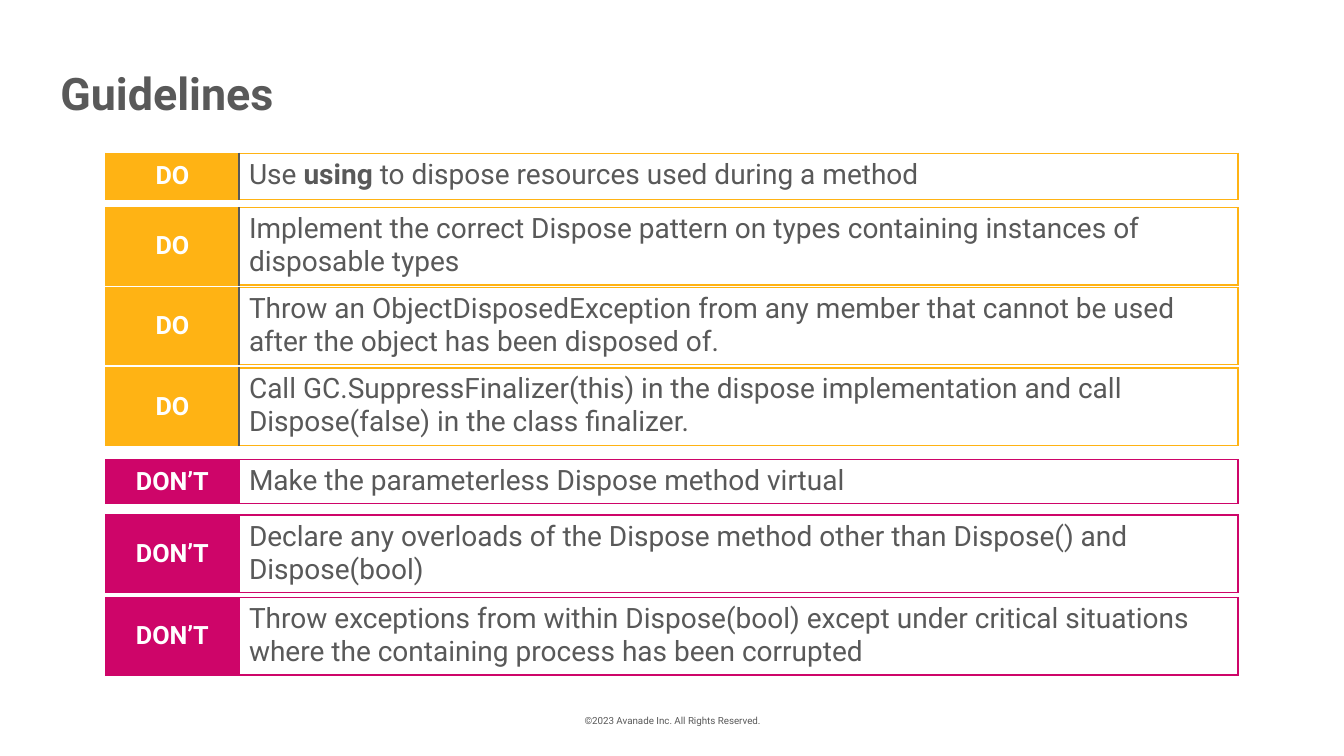
from lxml.etree import SubElement
from pptx import Presentation
from pptx.dml.color import RGBColor
from pptx.enum.text import MSO_ANCHOR, PP_ALIGN
from pptx.oxml.ns import qn
from pptx.util import Inches, Pt

HEX = {"gray": "595959", "white": "FFFFFF", "do": "FFB314", "dont": "CE0569"}
TITLE = {"size": Pt(32), "bold": True}
LABEL = {"size": Pt(18), "bold": True}
BODY = {"size": Pt(20), "bold": False}
FOOT = {"size": Pt(7), "bold": False}
LEFT, WIDTH, TAG = 1.05, 11.23, 1.32

# kind, top, height, text; bars enclose bold words
RULES = [
    ("do", 1.52, 0.46, "Use |using| to dispose resources used during a method"),
    ("do", 2.06, 0.76, "Implement the correct Dispose pattern on types "
     "containing instances of disposable types"),
    ("do", 2.85, 0.76, "Throw an ObjectDisposedException from any member that "
     "cannot be used after the object has been disposed of."),
    ("do", 3.65, 0.76, "Call GC.SuppressFinalizer(this) in the dispose "
     "implementation and call Dispose(false) in the class finalizer."),
    ("dont", 4.56, 0.43, "Make the parameterless Dispose method virtual"),
    ("dont", 5.11, 0.76, "Declare any overloads of the Dispose method other "
     "than Dispose() and Dispose(bool)"),
    ("dont", 5.93, 0.76, "Throw exceptions from within Dispose(bool) except "
     "under critical situations where the containing process has been "
     "corrupted"),
]
LABELS = {"do": "DO", "dont": "DON’T"}


def write(para, text, style, color="gray"):
    """Fill a paragraph, with the parts between bars in bold."""
    for i, part in enumerate(text.split("|")):
        run = para.add_run()
        run.text = part
        run.font.name = "Roboto"
        run.font.color.rgb = RGBColor.from_string(HEX[color])
        for key, value in style.items():
            setattr(run.font, key, value)
        if i % 2:
            run.font.bold = True


def add_text(slide, box, text, style, anchor, **layout):
    frame = slide.shapes.add_textbox(*map(Inches, box)).text_frame
    frame.word_wrap = True
    frame.vertical_anchor = anchor
    para = frame.paragraphs[0]
    for key, value in layout.items():
        setattr(para, key, value)
    write(para, text, style)


def paint(cell, fill, sides):
    """Set the fill and the four borders, named L, R, T and B."""
    props = cell._tc.get_or_add_tcPr()
    for side in "LRTB":
        line = SubElement(props, qn(f"a:ln{side}"), w=str(Pt(1)))
        solid = SubElement(line, qn("a:solidFill"))
        SubElement(solid, qn("a:srgbClr"), val=HEX[sides[side]])
    cell.fill.solid()
    cell.fill.fore_color.rgb = RGBColor.from_string(HEX[fill])


def add_rule(slide, kind, top, height, text):
    box = map(Inches, (LEFT, top, WIDTH, height))
    table = slide.shapes.add_table(1, 2, *box).table
    table.first_row = table.horz_banding = False
    table.columns[0].width = Inches(TAG)
    table.columns[1].width = Inches(WIDTH - TAG)
    tag, body = table.cell(0, 0), table.cell(0, 1)
    edges = dict.fromkeys("LRTB", kind)
    split = "gray" if kind == "do" else kind
    paint(tag, kind, {**edges, "R": split})
    paint(body, "white", {**edges, "L": split})
    tag.vertical_anchor = MSO_ANCHOR.MIDDLE
    para = tag.text_frame.paragraphs[0]
    para.alignment = PP_ALIGN.CENTER
    write(para, LABELS[kind], LABEL, "white")
    write(body.text_frame.paragraphs[0], text, BODY)


def main():
    deck = Presentation()
    deck.slide_width, deck.slide_height = Inches(13.33), Inches(7.5)
    slide = deck.slides.add_slide(deck.slide_layouts[6])
    add_text(slide, (4.42, 6.95, 4.5, 0.4),
             "©2023 Avanade Inc. All Rights Reserved.", FOOT,
             MSO_ANCHOR.MIDDLE, alignment=PP_ALIGN.CENTER)
    add_text(slide, (0.5, 0.5, 12.25, 1.08), "Guidelines", TITLE,
             MSO_ANCHOR.TOP, line_spacing=1.2)
    for rule in RULES:
        add_rule(slide, *rule)
    deck.save("out.pptx")


if __name__ == "__main__":
    main()
